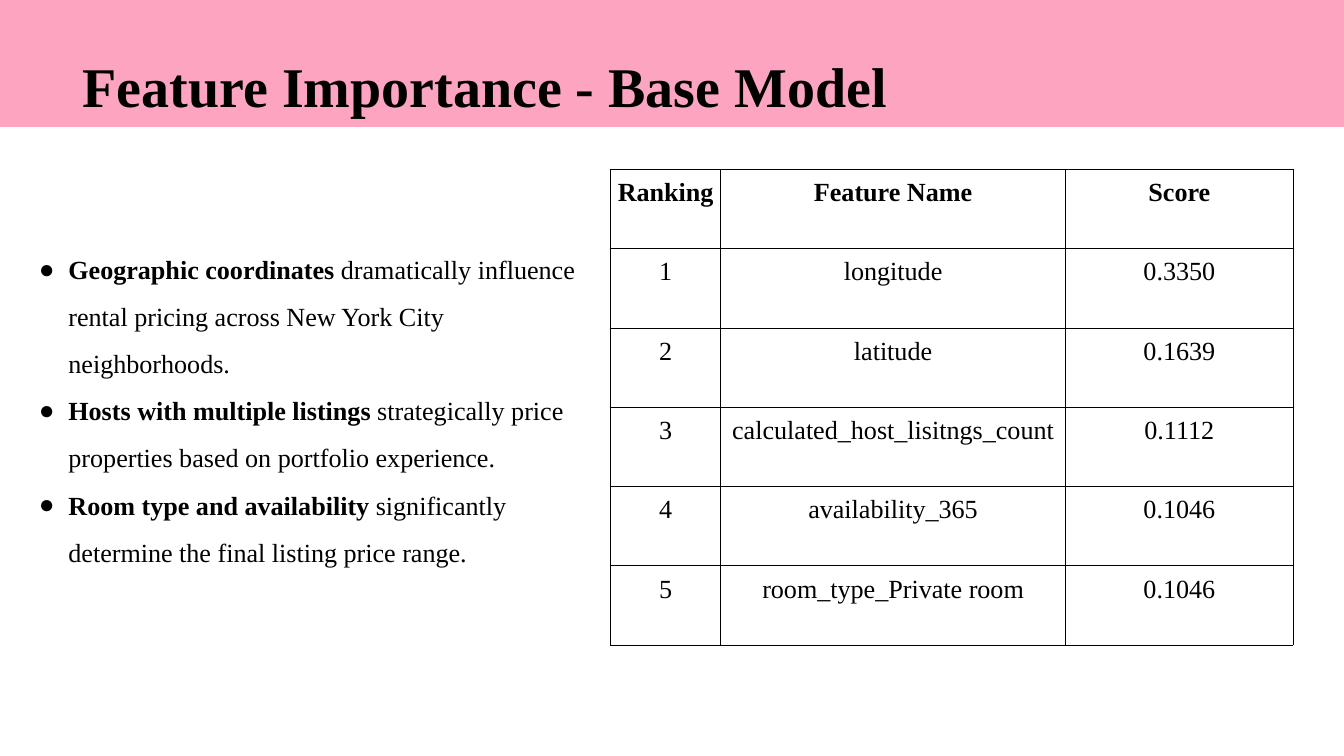
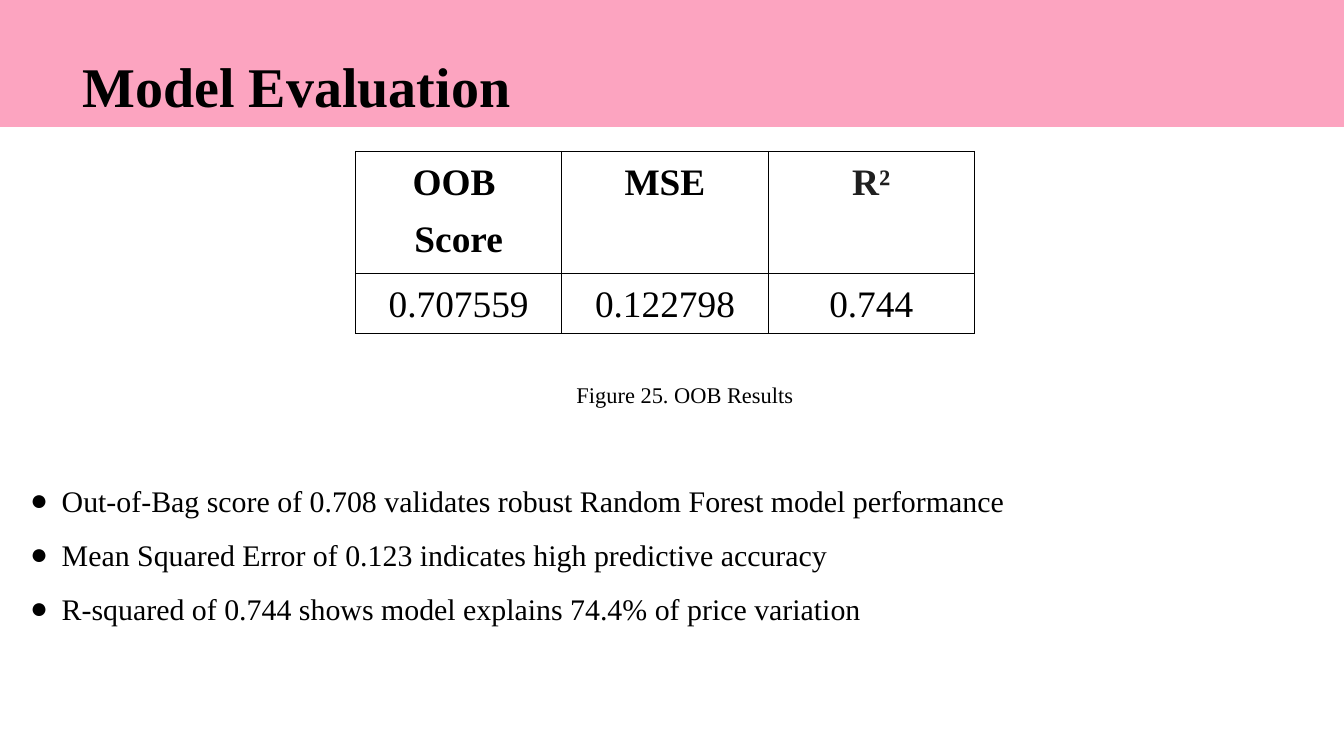
import pptx
import pptx.dml.color
import pptx.enum.shapes
import pptx.enum.text
import pptx.oxml
import pptx.oxml.ns
import pptx.util
from lxml import etree

Inches = pptx.util.Inches
Pt = pptx.util.Pt
Align = pptx.enum.text.PP_ALIGN
Anchor = pptx.enum.text.MSO_ANCHOR
qn = pptx.oxml.ns.qn

FONT = "Times New Roman"
PINK, BLACK, CHARCOAL = "FCA4C0", "000000", "1F1F1F"
SLIDE_WIDTH = 20
CELL_MARGIN = 0.07


def write(frame, paragraphs, size, color=BLACK, bold=False, align=Align.LEFT, anchor=Anchor.TOP,
          spacing=1.0, after=0, margin=0.1, bullet_indent=None):
    """Fill a frame; a (lead, rest) pair makes a paragraph with a bold lead."""
    frame.word_wrap = True
    frame.vertical_anchor = anchor
    frame.margin_left = frame.margin_right = Inches(margin)
    frame.margin_top = frame.margin_bottom = Inches(margin)
    for index, content in enumerate(paragraphs):
        paragraph = frame.paragraphs[0] if index == 0 else frame.add_paragraph()
        if bullet_indent:
            properties = paragraph._p.get_or_add_pPr()
            properties.set("marL", str(Inches(0.5)))
            properties.set("indent", str(-Inches(bullet_indent)))
            bullet_color = etree.SubElement(properties, qn("a:buClr"))
            etree.SubElement(bullet_color, qn("a:srgbClr"), val=color)
            etree.SubElement(properties, qn("a:buFont"), typeface=FONT)
            etree.SubElement(properties, qn("a:buChar"), char="●")
        paragraph.alignment = align
        paragraph.line_spacing = spacing
        paragraph.space_before = Pt(0)
        paragraph.space_after = Pt(after)
        runs = [(content, bold)] if isinstance(content, str) else zip(content, (True, False))
        for text, is_bold in runs:
            run = paragraph.add_run()
            run.text = text
            run.font.name = FONT
            run.font.size = Pt(size)
            run.font.bold = is_bold
            run.font.color.rgb = pptx.dml.color.RGBColor.from_string(color)


def add_grid(slide, left, top, widths, heights, rows, size, colors):
    """Add a plain black-ruled table whose first row is bold; colors maps a text to its colour."""
    frame = slide.shapes.add_table(len(rows), len(widths), Inches(left), Inches(top),
                                   Inches(sum(widths)), Inches(sum(heights)))
    table = frame.table
    table.first_row = table.horz_banding = False
    for column, width in zip(table.columns, widths):
        column.width = Inches(width)
    for row_index, (row, height) in enumerate(zip(rows, heights)):
        table.rows[row_index].height = Inches(height)
        for column_index, text in enumerate(row):
            cell = table.cell(row_index, column_index)
            write(cell.text_frame, text.split("\n"), size, color=colors.get(text, BLACK),
                  bold=row_index == 0, align=Align.CENTER, spacing=1.15, after=10)
            cell.margin_left = cell.margin_right = Inches(CELL_MARGIN)
            cell.margin_top = cell.margin_bottom = Inches(CELL_MARGIN)
            cell.vertical_anchor = Anchor.TOP
            properties = cell._tc.get_or_add_tcPr()
            for side in ("a:lnL", "a:lnR", "a:lnT", "a:lnB"):
                border = etree.SubElement(properties, qn(side), w=str(Pt(1)))
                border_fill = etree.SubElement(border, qn("a:solidFill"))
                etree.SubElement(border_fill, qn("a:srgbClr"), val=BLACK)
            cell.fill.background()


presentation = pptx.Presentation()
presentation.slide_width = Inches(SLIDE_WIDTH)
presentation.slide_height = Inches(11.25)

# Shared pink band and title
slides = []
for heading in ("Feature Importance - Base Model", "Model Evaluation"):
    slide = presentation.slides.add_slide(presentation.slide_layouts[5])
    title = slide.shapes.title
    title.left, title.top = Inches(1.17), Inches(-0.2)
    title.width, title.height = Inches(18.83), Inches(2.05)
    title.text_frame.auto_size = pptx.enum.text.MSO_AUTO_SIZE.NONE
    write(title.text_frame, [heading], 60, bold=True, anchor=Anchor.MIDDLE,
          spacing=1.87, margin=0.06)
    band = slide.shapes.add_shape(pptx.enum.shapes.MSO_SHAPE.RECTANGLE, 0, 0,
                                  Inches(SLIDE_WIDTH), Inches(1.89))
    band.shadow.inherit = False
    band.fill.solid()
    band.fill.fore_color.rgb = pptx.dml.color.RGBColor.from_string(PINK)
    band.line.fill.background()
    title.element.addprevious(band.element)
    slides.append(slide)
importance_slide, evaluation_slide = slides

# Feature importance
findings = importance_slide.shapes.add_textbox(Inches(0.42), Inches(3.44), Inches(8.26), Inches(5.39))
write(findings.text_frame, [
    ("Geographic coordinates",
     " dramatically influence rental pricing across New York City neighborhoods."),
    ("Hosts with multiple listings", " strategically price properties based on portfolio experience."),
    ("Room type and availability", " significantly determine the final listing price range."),
], 28, spacing=1.5, bullet_indent=0.44)

feature_rows = [
    ("Ranking", "Feature Name", "Score"),
    ("1", "longitude", "0.3350"),
    ("2", "latitude", "0.1639"),
    ("3", "calculated_host_lisitngs_count", "0.1112"),
    ("4", "availability_365", "0.1046"),
    ("5", "room_type_Private room", "0.1046"),
]
add_grid(importance_slide, 9.09, 2.52, [1.63, 5.14, 3.38], [1.18] * len(feature_rows),
         feature_rows, 28, {})

# Model evaluation
conclusions = evaluation_slide.shapes.add_textbox(Inches(0.32), Inches(6.82), Inches(19.35), Inches(3.62))
write(conclusions.text_frame, [
    "Out-of-Bag score of 0.708 validates robust Random Forest model performance",
    "Mean Squared Error of 0.123 indicates high predictive accuracy",
    "R-squared of 0.744 shows model explains 74.4% of price variation",
], 32, spacing=1.5, bullet_indent=0.47)

metric_rows = [("OOB \nScore", "MSE", "R²"), ("0.707559", "0.122798", "0.744")]
add_grid(evaluation_slide, 5.29, 2.25, [3.07] * 3, [1.56, 0.9], metric_rows, 40, {"R²": CHARCOAL})

caption = evaluation_slide.shapes.add_textbox(Inches(7.32), Inches(5.5), Inches(5.74), Inches(0.74))
write(caption.text_frame, ["Figure 25. OOB Results"], 24, align=Align.CENTER, anchor=Anchor.MIDDLE)

presentation.save("out.pptx")
